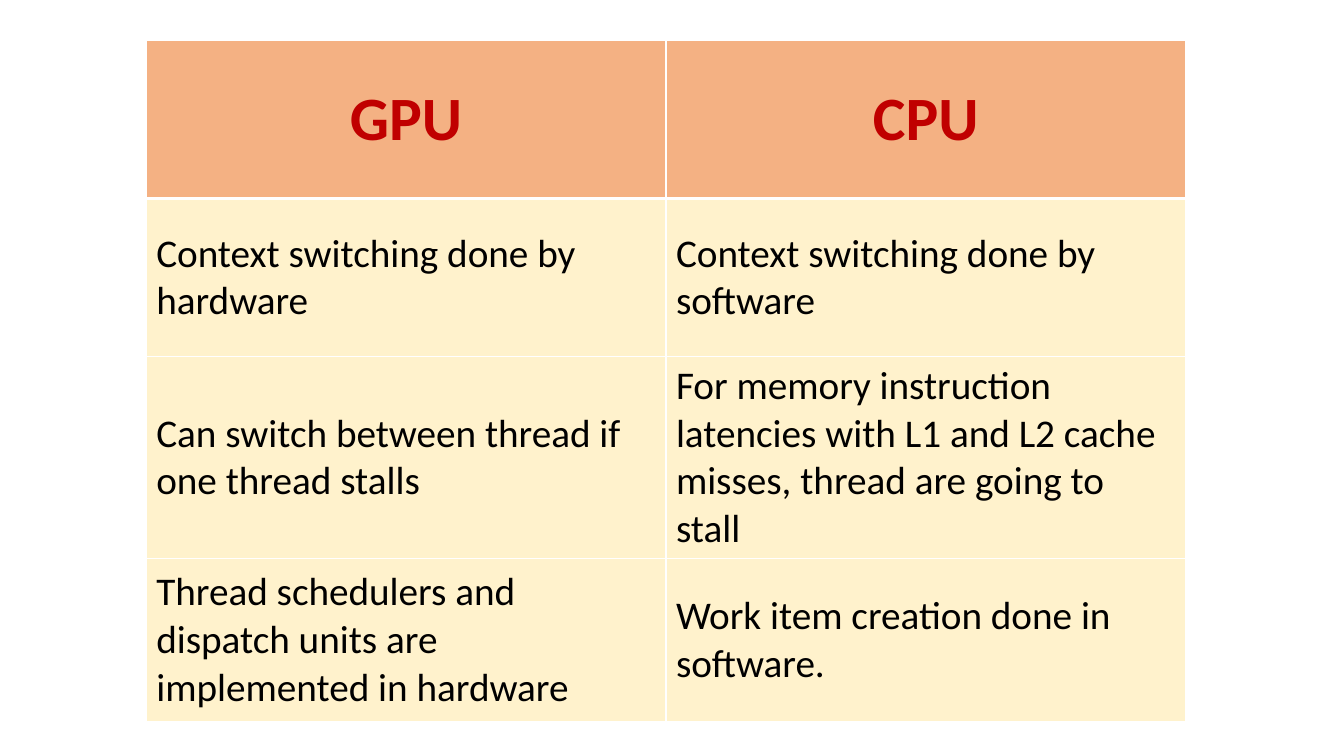
from lxml.etree import SubElement
from pptx import Presentation
from pptx.dml.color import RGBColor
from pptx.enum.text import MSO_ANCHOR as Anchor, PP_ALIGN as Align
from pptx.oxml.ns import qn
from pptx.util import Inches, Pt

COLORS = {
    "header": "F4B183",
    "body": "FFF2CC",
    "title": "C00000",
    "text": "000000",
    "border": "FFFFFF",
}
HEADER = {
    "fill": "header",
    "color": "title",
    "align": Align.CENTER,
    "font": {"name": "Calibri", "size": Pt(44), "bold": True},
    "borders": {"lnL": 1, "lnR": 1, "lnT": 1, "lnB": 3},
}
BODY = {
    "fill": "body",
    "color": "text",
    "align": Align.LEFT,
    "font": {"name": "Calibri", "size": Pt(28), "bold": False},
    "borders": {"lnL": 1, "lnR": 1, "lnT": 1, "lnB": 1},
}
COMPARISON = [
    ("GPU", "CPU"),
    ("Context switching done by hardware", "Context switching done by software"),
    (
        "Can switch between thread if one thread stalls",
        "For memory instruction latencies with L1 and L2 cache misses, "
        "thread are going to stall",
    ),
    (
        "Thread schedulers and dispatch units are implemented in hardware",
        "Work item creation done in software.",
    ),
]


class SlideBuilder:
    def __init__(self, presentation):
        self.width = presentation.slide_width
        self.height = presentation.slide_height
        self.slide = presentation.slides.add_slide(presentation.slide_layouts[6])

    def color(self, name):
        return RGBColor.from_string(COLORS[name])

    def table(self, rows, left, top, width, row_heights):
        heights = [round(share * self.height) for share in row_heights]
        table = self.slide.shapes.add_table(
            len(rows),
            len(rows[0]),
            round(left * self.width),
            round(top * self.height),
            round(width * self.width),
            sum(heights),
        ).table
        table.horz_banding = False
        for index, (texts, height) in enumerate(zip(rows, heights)):
            table.rows[index].height = height
            borders = dict(BODY["borders"], lnT=3) if index == 1 else BODY["borders"]
            style = HEADER if index == 0 else dict(BODY, borders=borders)
            for column, text in enumerate(texts):
                self.cell(table.cell(index, column), text, style)

    def cell(self, cell, text, style):
        for side, points in style["borders"].items():
            self.border(cell, side, points)
        cell.fill.solid()
        cell.fill.fore_color.rgb = self.color(style["fill"])
        cell.vertical_anchor = Anchor.MIDDLE
        paragraph = cell.text_frame.paragraphs[0]
        paragraph.alignment = style["align"]
        run = paragraph.add_run()
        run.text = text
        for name, value in style["font"].items():
            setattr(run.font, name, value)
        run.font.color.rgb = self.color(style["color"])

    def border(self, cell, side, points):
        properties = cell._tc.get_or_add_tcPr()
        line = SubElement(properties, qn(f"a:{side}"), w=str(Pt(points)))
        fill = SubElement(line, qn("a:solidFill"))
        SubElement(fill, qn("a:srgbClr"), val=COLORS["border"])


def main():
    presentation = Presentation()
    presentation.slide_width = Inches(13.33)
    presentation.slide_height = Inches(7.5)
    builder = SlideBuilder(presentation)
    builder.table(
        COMPARISON,
        left=1.45 / 13.33,
        top=0.4 / 7.5,
        width=10.31 / 13.33,
        row_heights=[height / 7.5 for height in (1.57, 1.57, 1.62, 1.62)],
    )
    presentation.save("out.pptx")


if __name__ == "__main__":
    main()
